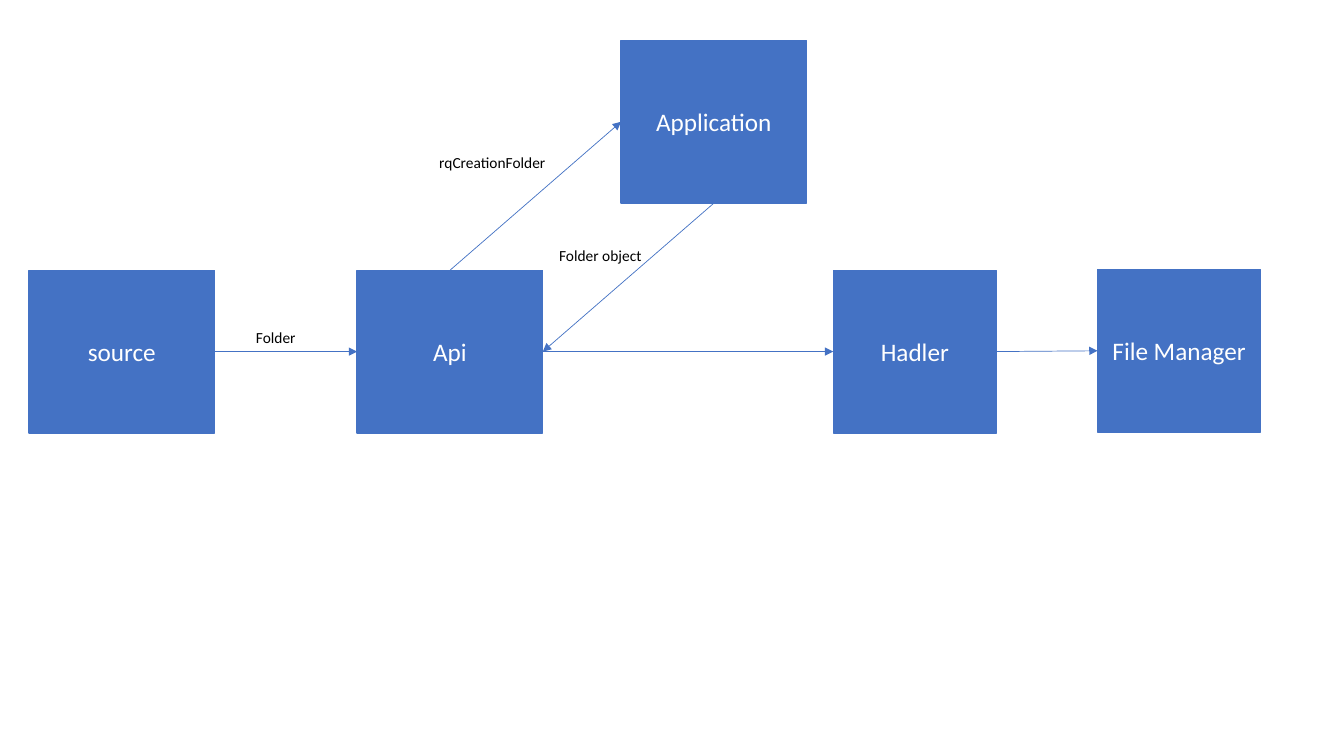
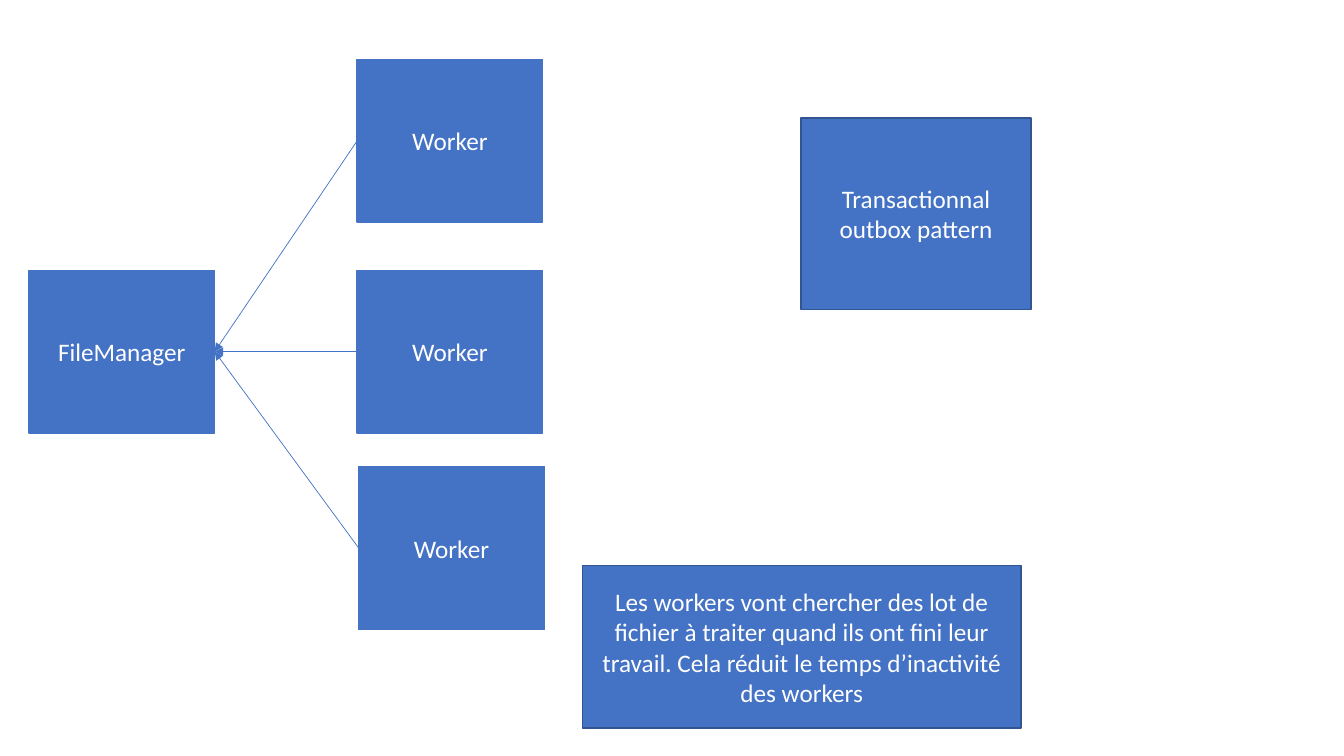
"""Build a two-slide deck on the file-processing architecture."""
from dataclasses import dataclass

from lxml import etree
from pptx import Presentation
from pptx import util as u
from pptx.dml.color import RGBColor
from pptx.enum import shapes, text
from pptx.oxml.ns import qn

TOP, LEFT, BOTTOM, RIGHT = range(4)  # connection sites of a rectangle


@dataclass(frozen=True)
class Theme:
    """Colours, type sizes and shared measures in centimetres."""
    font: str = "Calibri"
    blue: str = "4472C4"
    navy: str = "325491"
    white: str = "FFFFFF"
    black: str = "000000"
    box_size: float = 18
    label_size: float = 11
    outline: float = 1
    arrow: float = 0.5
    box_width: float = 4.68
    narrow_width: float = 4.11
    box_height: float = 4.1
    label_width: float = 4.29
    label_height: float = 0.74
    first_column: float = 0.73
    second_column: float = 9.0
    main_row: float = 6.81


class Diagram:
    """Draw boxes, labels and arrows on the current slide."""

    def __init__(self, deck, theme):
        """Keep the deck and its style."""
        self.deck, self.theme = deck, theme
        self.slide = None

    def new_slide(self):
        """Start a blank slide."""
        self.slide = self.deck.slides.add_slide(self.deck.slide_layouts[6])

    def set_words(self, shape, words, size, colour, align):
        """Put one styled paragraph into a shape."""
        shape.text_frame.word_wrap = True
        shape.text_frame.text = words
        para = shape.text_frame.paragraphs[0]
        para.alignment = align
        for span in para.runs:
            span.font.name = self.theme.font
            span.font.size = u.Pt(size)
            span.font.color.rgb = RGBColor.from_string(colour)

    def box(self, words, left, top, width=None, height=None, edge=None):
        """Add a blue rectangle with centred white text."""
        theme = self.theme
        box = self.slide.shapes.add_shape(
            shapes.MSO_SHAPE.RECTANGLE, u.Cm(left), u.Cm(top),
            u.Cm(width or theme.box_width), u.Cm(height or theme.box_height))
        box.shadow.inherit = False
        box.fill.solid()
        box.fill.fore_color.rgb = RGBColor.from_string(theme.blue)
        box.line.color.rgb = RGBColor.from_string(edge or theme.blue)
        box.line.width = u.Pt(theme.outline)
        box.text_frame.vertical_anchor = text.MSO_ANCHOR.MIDDLE
        self.set_words(box, words, theme.box_size, theme.white, text.PP_ALIGN.CENTER)
        return box

    def label(self, words, left, top):
        """Add a small caption beside an arrow."""
        theme = self.theme
        label = self.slide.shapes.add_textbox(
            u.Cm(left), u.Cm(top), u.Cm(theme.label_width), u.Cm(theme.label_height))
        label.text_frame.auto_size = text.MSO_AUTO_SIZE.SHAPE_TO_FIT_TEXT
        self.set_words(label, words, theme.label_size, theme.black, text.PP_ALIGN.LEFT)

    def arrow(self, start, start_site, end, end_site):
        """Link two boxes with an arrow pointing at the second."""
        arrow = self.slide.shapes.add_connector(
            shapes.MSO_CONNECTOR.STRAIGHT, 0, 0, 0, 0)
        arrow.begin_connect(start, start_site)
        arrow.end_connect(end, end_site)
        arrow.line.color.rgb = RGBColor.from_string(self.theme.blue)
        arrow.line.width = u.Pt(self.theme.arrow)
        properties = arrow._element.spPr
        etree.SubElement(properties.find(qn("a:ln")), qn("a:tailEnd"), type="triangle")
        etree.SubElement(properties, qn("a:effectLst"))


def draw_request_flow(diagram):
    """Show the path of a folder from source to file manager."""
    theme = diagram.theme
    diagram.new_slide()
    source = diagram.box("source", theme.first_column, theme.main_row)
    api = diagram.box("Api", theme.second_column, theme.main_row)
    application = diagram.box("Application", 15.65, 1.02)
    handler = diagram.box("Hadler", 21.0, theme.main_row, theme.narrow_width)
    manager = diagram.box("File Manager", 27.66, 6.79, theme.narrow_width)

    diagram.arrow(source, RIGHT, api, LEFT)
    diagram.arrow(api, TOP, application, LEFT)
    diagram.arrow(application, BOTTOM, api, RIGHT)
    diagram.arrow(api, RIGHT, handler, LEFT)
    diagram.arrow(handler, RIGHT, manager, LEFT)

    diagram.label("rqCreationFolder", 10.82, 3.73)
    diagram.label("Folder object", 13.84, 6.07)
    diagram.label("Folder", 6.2, 8.15)


def draw_workers(diagram):
    """Show the workers that fetch files from the manager."""
    theme = diagram.theme
    diagram.new_slide()
    manager = diagram.box("FileManager", theme.first_column, theme.main_row)
    for left, top in ((theme.second_column, 1.5),
                      (theme.second_column, theme.main_row),
                      (9.04, 11.76)):
        worker = diagram.box("Worker", left, top)
        diagram.arrow(worker, LEFT, manager, RIGHT)

    diagram.box("Transactionnal outbox pattern", 20.19, 2.97, 5.79, 4.83, theme.navy)
    diagram.box("Les workers vont chercher des lot de fichier à traiter quand ils "
                "ont fini leur travail. Cela réduit le temps d’inactivité des workers",
                14.68, 14.25, 11.05, edge=theme.navy)


def main():
    """Build and save the deck."""
    deck = Presentation()
    deck.slide_width, deck.slide_height = u.Cm(33.87), u.Cm(19.05)
    diagram = Diagram(deck, Theme())
    draw_request_flow(diagram)
    draw_workers(diagram)
    deck.save("out.pptx")


main()
